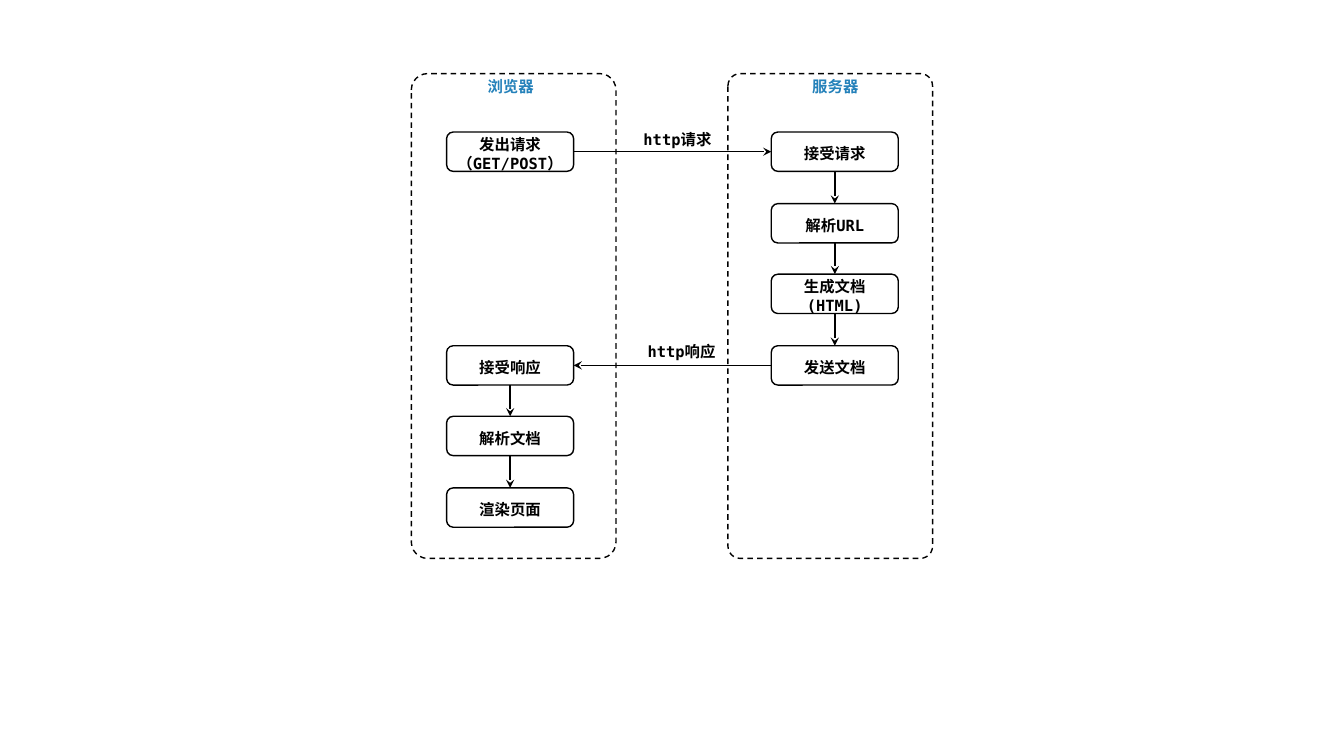
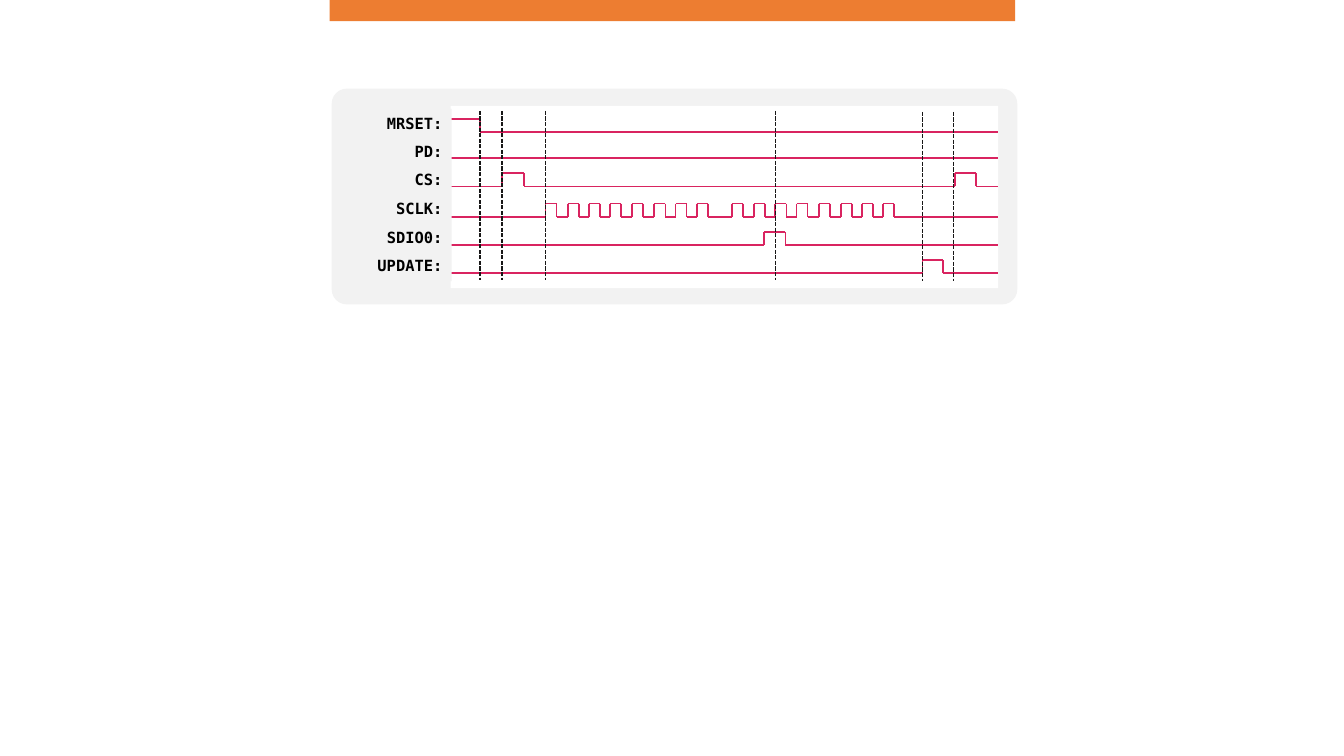
from dataclasses import dataclass
from itertools import pairwise

from lxml import etree
from pptx import Presentation
from pptx.dml.color import RGBColor
from pptx.enum.dml import MSO_LINE
from pptx.enum.shapes import MSO_CONNECTOR, MSO_SHAPE
from pptx.enum.text import MSO_ANCHOR, PP_ALIGN
from pptx.oxml.ns import qn
from pptx.util import Pt

PX = 9144  # EMU, 100 px to the inch
RECTANGLE = MSO_SHAPE.RECTANGLE
ROUNDED = MSO_SHAPE.ROUNDED_RECTANGLE
STRAIGHT = MSO_CONNECTOR.STRAIGHT
DASH, SHORT_DASH = MSO_LINE.DASH, MSO_LINE.SQUARE_DOT
CENTER, RIGHT = PP_ALIGN.CENTER, PP_ALIGN.RIGHT
TOP_SIDE, LEFT_SIDE, BOTTOM_SIDE, RIGHT_SIDE = range(4)


@dataclass(frozen=True)
class Theme:
    ink: str = "000000"
    heading: str = "2481BA"
    white: str = "FFFFFF"
    panel: str = "F2F2F2"
    band: str = "ED7D31"
    signal: str = "D92460"
    marker: str = "181717"
    font: str = "DejaVu Sans Mono"
    text_size: float = 11
    thin: float = 1
    signal_width: float = 1.25


theme = Theme()


def add_box(slide, kind, bounds, lines=(), fill=None, outline=None, dash=None,
            radius=None, color=theme.ink, align=CENTER, top_inset=4):
    """Add a preset shape, or a text box when kind is None, one paragraph per line."""
    place = [value * PX for value in bounds]
    if kind is None:
        shape = slide.shapes.add_textbox(*place)
    else:
        shape = slide.shapes.add_shape(kind, *place)
    shape.shadow.inherit = False
    if radius is not None:
        shape.adjustments[0] = radius
    if fill:
        shape.fill.solid()
        shape.fill.fore_color.rgb = RGBColor.from_string(fill)
    else:
        shape.fill.background()
    if outline:
        shape.line.color.rgb = RGBColor.from_string(outline)
        shape.line.width = Pt(theme.thin)
        shape.line.dash_style = dash
    else:
        shape.line.fill.background()

    frame = shape.text_frame
    frame.word_wrap = True
    frame.vertical_anchor = MSO_ANCHOR.MIDDLE
    frame.margin_left = frame.margin_right = frame.margin_bottom = 0
    frame.margin_top = top_inset * PX
    for index, line in enumerate(lines):
        paragraph = frame.add_paragraph() if index else frame.paragraphs[0]
        paragraph.alignment = align
        run = paragraph.add_run()
        run.text = line
        run.font.name = theme.font
        run.font.size = Pt(theme.text_size)
        run.font.bold = True
        run.font.color.rgb = RGBColor.from_string(color)
    return shape


def add_line(slide, start, end, color, width, dash=None, arrow=False):
    connector = slide.shapes.add_connector(
        STRAIGHT, *[value * PX for value in (*start, *end)])
    connector.line.color.rgb = RGBColor.from_string(color)
    connector.line.width = Pt(width)
    connector.line.dash_style = dash
    properties = connector.element.spPr
    if arrow:
        outline = properties.find(qn("a:ln"))
        etree.SubElement(outline, qn("a:tailEnd"), type="stealth")
    etree.SubElement(properties, qn("a:effectLst"))
    return connector


presentation = Presentation()
presentation.slide_width = 1333 * PX
presentation.slide_height = 750 * PX
blank_layout = presentation.slide_layouts[6]

# Slide 1: request and response flow
slide = presentation.slides.add_slide(blank_layout)
BROWSER, SERVER = 443, 765
STEP_WIDTH, STEP_HEIGHT = 126, 39
FIRST_ROW, ROW_PITCH = 131, 70.6

steps = [
    (BROWSER, 0, ["发出请求", "（GET/POST）"]),
    (SERVER, 0, ["接受请求"]),
    (SERVER, 1, ["解析URL"]),
    (SERVER, 2, ["生成文档", "(HTML)"]),
    (SERVER, 3, ["发送文档"]),
    (BROWSER, 3, ["接受响应"]),
    (BROWSER, 4, ["解析文档"]),
    (BROWSER, 5, ["渲染页面"]),
]
step_boxes = []
for left, row, lines in steps:
    top = FIRST_ROW + round(row * ROW_PITCH)
    box = add_box(slide, ROUNDED, (left, top, STEP_WIDTH, STEP_HEIGHT), lines,
                  outline=theme.ink)
    step_boxes.append((box, left, row))

for (source, source_left, source_row), (target, target_left, target_row) in pairwise(step_boxes):
    if source_row != target_row:
        sides = BOTTOM_SIDE, TOP_SIDE
    elif source_left < target_left:
        sides = RIGHT_SIDE, LEFT_SIDE
    else:
        sides = LEFT_SIDE, RIGHT_SIDE
    arrow = add_line(slide, (0, 0), (0, 0), theme.ink, theme.thin, arrow=True)
    arrow.begin_connect(source, sides[0])
    arrow.end_connect(target, sides[1])

for frame_left, radius, title_left, title in [
    (408, 0.08, 467, "浏览器"),
    (722, 0.06, 789, "服务器"),
]:
    add_box(slide, ROUNDED, (frame_left, 73, 203, 481), outline=theme.ink,
            dash=DASH, radius=radius)
    add_box(slide, None, (title_left, 67, 79, 34), [title], color=theme.heading)

for left, top, label in [(634, 332, "http响应"), (630, 121, "http请求")]:
    add_box(slide, None, (left, top, 84, 30), [label])

# Slide 2: timing diagram
slide = presentation.slides.add_slide(blank_layout)
add_box(slide, ROUNDED, (329, 88, 680, 214), fill=theme.panel, radius=0.07)
add_box(slide, RECTANGLE, (447, 105, 543, 181), fill=theme.white)
add_box(slide, RECTANGLE, (327, 0, 680, 21), fill=theme.band)

WAVE_START, WAVE_END, WAVE_HEIGHT = 444, 990, 13
CLOCK_PERIOD, CLOCK_HIGH, PULSES_PER_BYTE = 21.5, 11, 8
clock_edges = []
for byte_start in (541, 726):
    for pulse in range(PULSES_PER_BYTE):
        rise = byte_start + round(pulse * CLOCK_PERIOD)
        clock_edges += [rise, rise + CLOCK_HIGH]

# name, low level y, starts high, x of each edge
signals = [
    ("MRSET:", 131, True, [476]),
    ("PD:", 157, False, []),
    ("CS:", 185, False, [498, 520, 947, 968]),
    ("SCLK:", 215, False, clock_edges),
    ("SDIO0:", 243, False, [758, 779]),
    ("UPDATE:", 271, False, [915, 935]),
]
for name, low, high, edges in signals:
    levels = (low, low - WAVE_HEIGHT)
    points = [(WAVE_START, levels[high])]
    for edge in edges:
        points.append((edge, levels[high])) 
        high = not high
        points.append((edge, levels[high]))
    points.append((WAVE_END, levels[high]))
    for start, end in pairwise(points):
        add_line(slide, start, end, theme.signal, theme.signal_width)

for x, top in [(476, 110), (498, 110), (541, 110), (769, 110), (915, 111), (946, 111)]:
    add_line(slide, (x, top), (x, top + 168), theme.marker, theme.thin, SHORT_DASH)

add_box(slide, RECTANGLE, (365, 108, 83, 171), fill=theme.panel)
for row, (name, *_) in enumerate(signals):
    add_box(slide, RECTANGLE, (349, 108 + round(row * 28.2), 90, 28), [name],
            fill=theme.panel, align=RIGHT, top_inset=0)

presentation.save("out.pptx")
